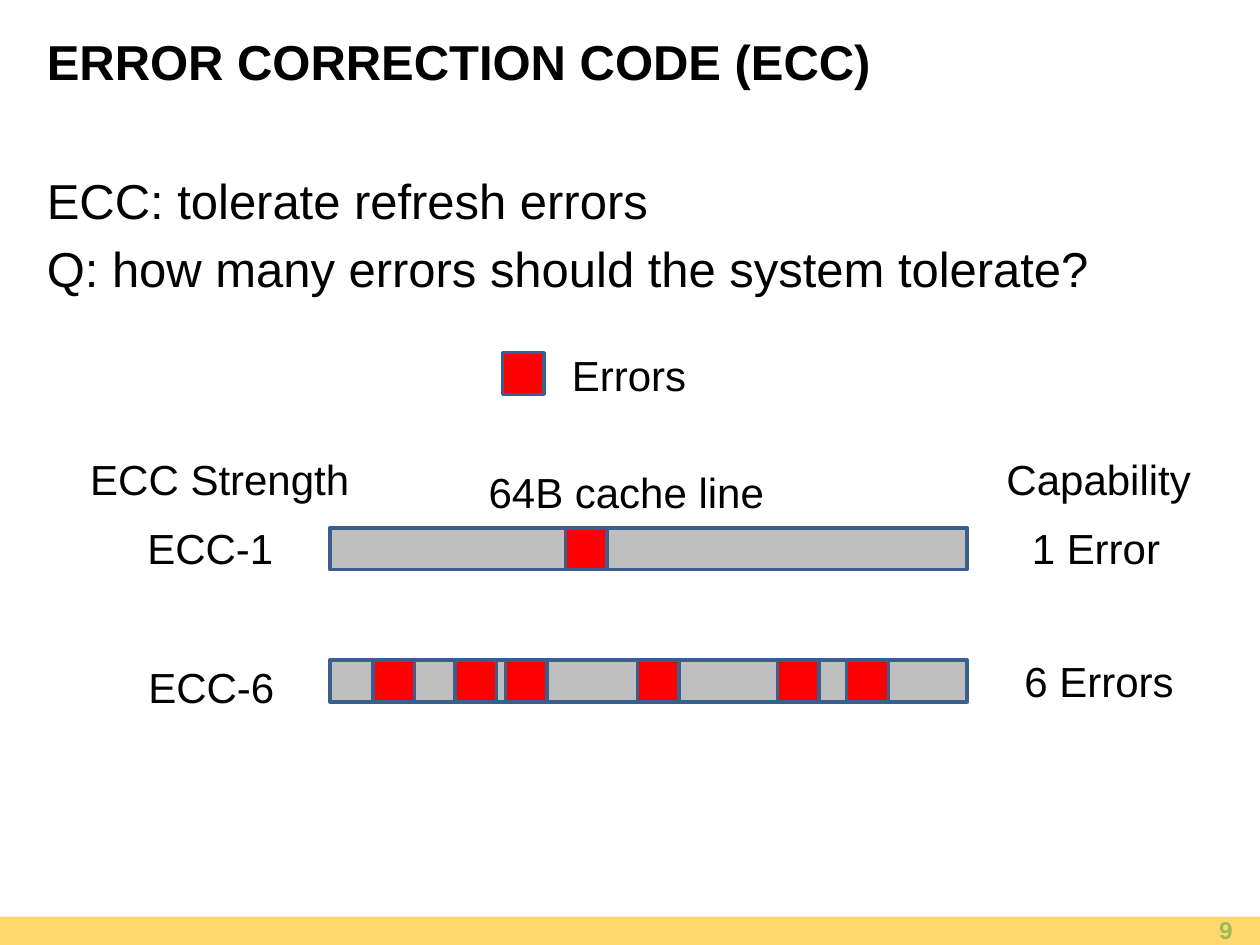
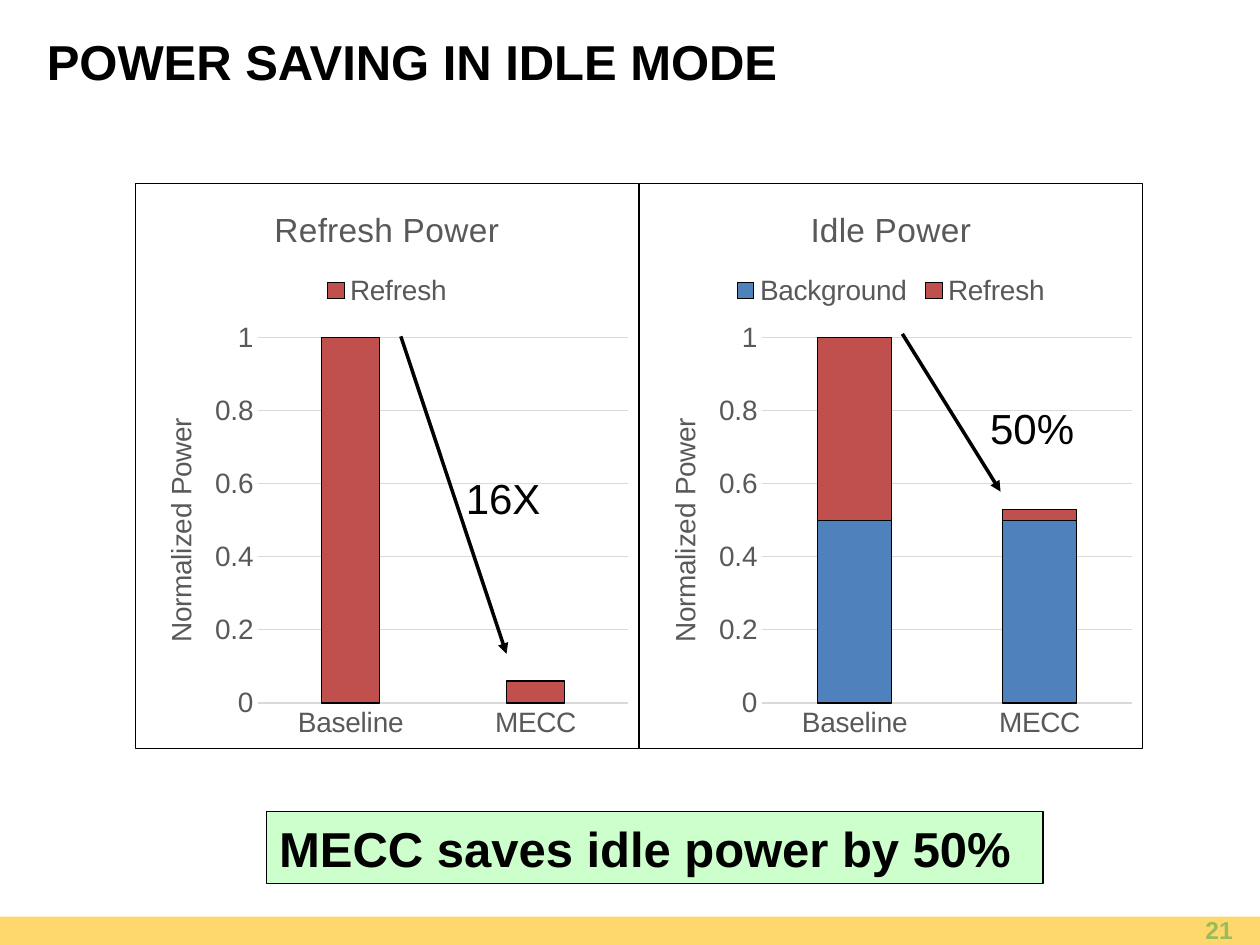
from lxml.etree import SubElement
from pptx import Presentation
from pptx.chart.data import CategoryChartData
from pptx.dml.color import RGBColor
from pptx.enum.chart import XL_CHART_TYPE, XL_LEGEND_POSITION, XL_TICK_MARK
from pptx.enum.shapes import MSO_CONNECTOR, MSO_SHAPE
from pptx.enum.text import MSO_ANCHOR, MSO_AUTO_SIZE, PP_ALIGN
from pptx.oxml import parse_xml
from pptx.oxml.ns import nsdecls, qn
from pptx.util import Cm, Pt

FONT = "Arial"
BLACK, GOLD, LEAF, MINT = "000000", "FFD86D", "9BBB59", "CCFFCC"
SILVER, NAVY, RED = "BFBFBF", "3A5F8C", "FF0000"
BLUE, BRICK, CHART_TEXT, GRID = "4F81BD", "C0504D", "595959", "D9D9D9"
TITLE_ONLY, TITLE_AND_BODY = 5, 1


def colour(code):
    """Turn a hex string into a colour."""
    return RGBColor.from_string(code)


def set_font(font, size, code, bold=False):
    """Give a font its face, size, colour and weight."""
    font.name, font.size, font.bold = FONT, Pt(size), bold
    font.color.rgb = colour(code)


def set_line(line, code, width=0.75):
    """Colour a line and set its width in points."""
    line.color.rgb = colour(code)
    line.width = Pt(width)


def write(para, text, size, code=BLACK, bold=False):
    """Add one formatted run to a paragraph."""
    span = para.add_run()
    span.text = text
    set_font(span.font, size, code, bold)


class Deck:
    """Holds the shared style and the current page; lengths are in cm."""

    def __init__(self):
        """Start an empty 4:3 presentation."""
        self.show = Presentation()
        self.show.slide_width, self.show.slide_height = Cm(25.4), Cm(19.05)
        self.page = None

    def new_page(self, title, number, layout):
        """Add a page with its title, bottom band and page number."""
        self.page = self.show.slides.add_slide(self.show.slide_layouts[layout])
        self.rectangle(0, 18.48, 25.4, 0.57, GOLD)
        frame = self.place(self.page.shapes.title, 0.56, 1.35)
        frame.vertical_anchor = MSO_ANCHOR.MIDDLE
        frame.paragraphs[0].alignment = PP_ALIGN.LEFT
        write(frame.paragraphs[0], title, 28, bold=True)
        box = self.page.shapes.add_textbox(Cm(19.18), Cm(18.42), Cm(5.92), Cm(0.66))
        box.text_frame.word_wrap = True
        box.text_frame.vertical_anchor = MSO_ANCHOR.MIDDLE
        para = box.text_frame.paragraphs[0]
        para.alignment = PP_ALIGN.RIGHT
        write(para, str(number), 14, LEAF, True)

    def place(self, holder, top, height):
        """Move a placeholder into the text column and return its frame."""
        holder.left, holder.top = Cm(0.69), Cm(top)
        holder.width, holder.height = Cm(23.29), Cm(height)
        holder.text_frame.auto_size = MSO_AUTO_SIZE.NONE
        return holder.text_frame

    def body(self, lines, top, height):
        """Fill the body placeholder with unbulleted lines."""
        frame = self.place(self.page.placeholders[1], top, height)
        for index, line in enumerate(lines):
            para = frame.add_paragraph() if index else frame.paragraphs[0]
            properties = para._p.get_or_add_pPr()
            properties.set("marL", "0")
            properties.set("indent", "0")
            SubElement(properties, qn("a:buNone"))
            write(para, line, 28)

    def rectangle(self, left, top, width, height, fill, line=None, weight=2):
        """Draw a flat rectangle, outlined if a line colour is given."""
        box = self.page.shapes.add_shape(
            MSO_SHAPE.RECTANGLE, Cm(left), Cm(top), Cm(width), Cm(height))
        box.shadow.inherit = False
        box.fill.solid()
        box.fill.fore_color.rgb = colour(fill)
        if line:
            set_line(box.line, line, weight)
        else:
            box.line.fill.background()
        return box

    def label(self, text, left, top, width):
        """Write a one-line label."""
        box = self.page.shapes.add_textbox(Cm(left), Cm(top), Cm(width), Cm(1.27))
        box.text_frame.word_wrap = False
        box.text_frame.auto_size = MSO_AUTO_SIZE.SHAPE_TO_FIT_TEXT
        write(box.text_frame.paragraphs[0], text, 24)

    def callout(self, text, left, top, width, height):
        """Draw a green box with a bold statement."""
        box = self.rectangle(left, top, width, height, MINT, BLACK, 0.75)
        para = box.text_frame.paragraphs[0]
        para.alignment = PP_ALIGN.LEFT
        write(para, text, 28, bold=True)

    def error(self, left, top):
        """Draw the red square that marks one error."""
        self.rectangle(left, top, 0.84, 0.84, RED, NAVY)

    def cache_line(self, top, errors):
        """Draw a cache line with errors at the given left edges."""
        self.rectangle(6.65, top, 12.85, 0.84, SILVER, NAVY)
        for left in errors:
            self.error(left, top)

    def arrow(self, start, end):
        """Draw an arrow between two points."""
        line = self.page.shapes.add_connector(
            MSO_CONNECTOR.STRAIGHT, *map(Cm, start + end))
        set_line(line.line, BLACK, 2)
        SubElement(line.line._get_or_add_ln(), qn("a:tailEnd"), type="triangle")
        SubElement(line._element.spPr, qn("a:effectLst"))

    def power_chart(self, kind, title, series, left, gap, overlap):
        """Draw a bordered column chart; series holds (name, values, colour)."""
        data = CategoryChartData()
        data.categories = ["Baseline", "MECC"]
        for name, values, _ in series:
            data.add_series(name, values)
        chart = self.page.shapes.add_chart(
            kind, Cm(left), Cm(3.68), Cm(10.16), Cm(11.43), data).chart
        set_font(chart.font, 16, BLACK)
        chart.has_title = True
        write(chart.chart_title.text_frame.paragraphs[0], title, 19.2, CHART_TEXT)
        chart.has_legend = True
        chart.legend.position = XL_LEGEND_POSITION.TOP
        chart.legend.include_in_layout = False
        set_font(chart.legend.font, 16, CHART_TEXT)

        plot = chart.plots[0]
        plot.gap_width, plot.overlap, plot.vary_by_categories = gap, overlap, False
        for bars, (_, _, code) in zip(plot.series, series):
            bars.format.fill.solid()
            bars.format.fill.fore_color.rgb = colour(code)
            set_line(bars.format.line, BLACK)

        for axis in (chart.category_axis, chart.value_axis):
            axis.major_tick_mark = axis.minor_tick_mark = XL_TICK_MARK.NONE
            set_font(axis.tick_labels.font, 16, CHART_TEXT)
        set_line(chart.category_axis.format.line, GRID)
        scale = chart.value_axis
        scale.minimum_scale, scale.maximum_scale, scale.major_unit = 0, 1, 0.2
        scale.format.line.fill.background()
        set_line(scale.major_gridlines.format.line, GRID)
        scale.has_title = True
        write(scale.axis_title.text_frame.paragraphs[0],
              "Normalized Power", 16, CHART_TEXT)
        self.frame_chart(chart)

    def frame_chart(self, chart):
        """Fix the inner plot area and draw the chart's border."""
        area = chart.element.find(".//" + qn("c:plotArea"))
        for old in area.findall(qn("c:layout")):
            area.remove(old)
        sizes = {"x": 0.244, "y": 0.273, "w": 0.736, "h": 0.646}
        settings = '<c:layoutTarget val="inner"/><c:xMode val="edge"/><c:yMode val="edge"/>'
        settings += "".join(f'<c:{key} val="{size}"/>' for key, size in sizes.items())
        area.insert(0, parse_xml(
            f'<c:layout {nsdecls("c")}><c:manualLayout>{settings}'
            '</c:manualLayout></c:layout>'))
        chart.element.find(qn("c:chart")).addnext(parse_xml(
            f'<c:spPr {nsdecls("c", "a")}><a:noFill/><a:ln w="{Pt(0.75)}"><a:solidFill>'
            f'<a:srgbClr val="{BLACK}"/></a:solidFill></a:ln></c:spPr>'))


def correction_page(deck):
    """Build the page on error correction strength."""
    deck.new_page("ERROR CORRECTION CODE (ECC)", 9, TITLE_AND_BODY)
    deck.body(["ECC: tolerate refresh errors",
               "Q: how many errors should the system tolerate?"], 3.3, 3.05)
    deck.error(10.13, 7.11)
    deck.cache_line(10.64, [11.4])
    deck.cache_line(13.31, [7.52, 9.17, 10.19, 12.85, 15.67, 17.07])
    for text, left, top, width in [
        ("Errors", 11.28, 6.93, 2.84),
        ("ECC Strength", 1.57, 9.02, 5.79),
        ("64B cache line", 9.6, 9.27, 6.12),
        ("Capability", 20.04, 9.02, 4.27),
        ("ECC-1", 2.72, 10.41, 3.07),
        ("1 Error", 20.55, 10.41, 3.12),
        ("ECC-6", 2.74, 13.21, 3.07),
        ("6 Errors", 20.4, 13.08, 3.56),
    ]:
        deck.label(text, left, top, width)


def power_page(deck):
    """Build the page comparing refresh and idle power."""
    deck.new_page("POWER SAVING IN IDLE MODE", 21, TITLE_ONLY)
    deck.power_chart(XL_CHART_TYPE.COLUMN_CLUSTERED, "Refresh Power",
                     [("Refresh", (1, 0.06), BRICK)], 2.72, 219, -27)
    deck.power_chart(XL_CHART_TYPE.COLUMN_STACKED, "Idle Power",
                     [("Background", (0.5, 0.5), BLUE),
                      ("Refresh", (0.5, 0.03), BRICK)], 12.88, 150, 100)
    deck.arrow((8.08, 6.78), (10.21, 13.18))
    deck.arrow((18.19, 6.73), (20.17, 9.91))
    deck.label("16X", 9.14, 9.4, 2.03)
    deck.label("50%", 19.71, 7.98, 2.67)
    deck.callout("MECC saves idle power by 50%", 5.38, 16.36, 15.65, 1.45)


deck = Deck()
correction_page(deck)
power_page(deck)
deck.show.save("out.pptx")
